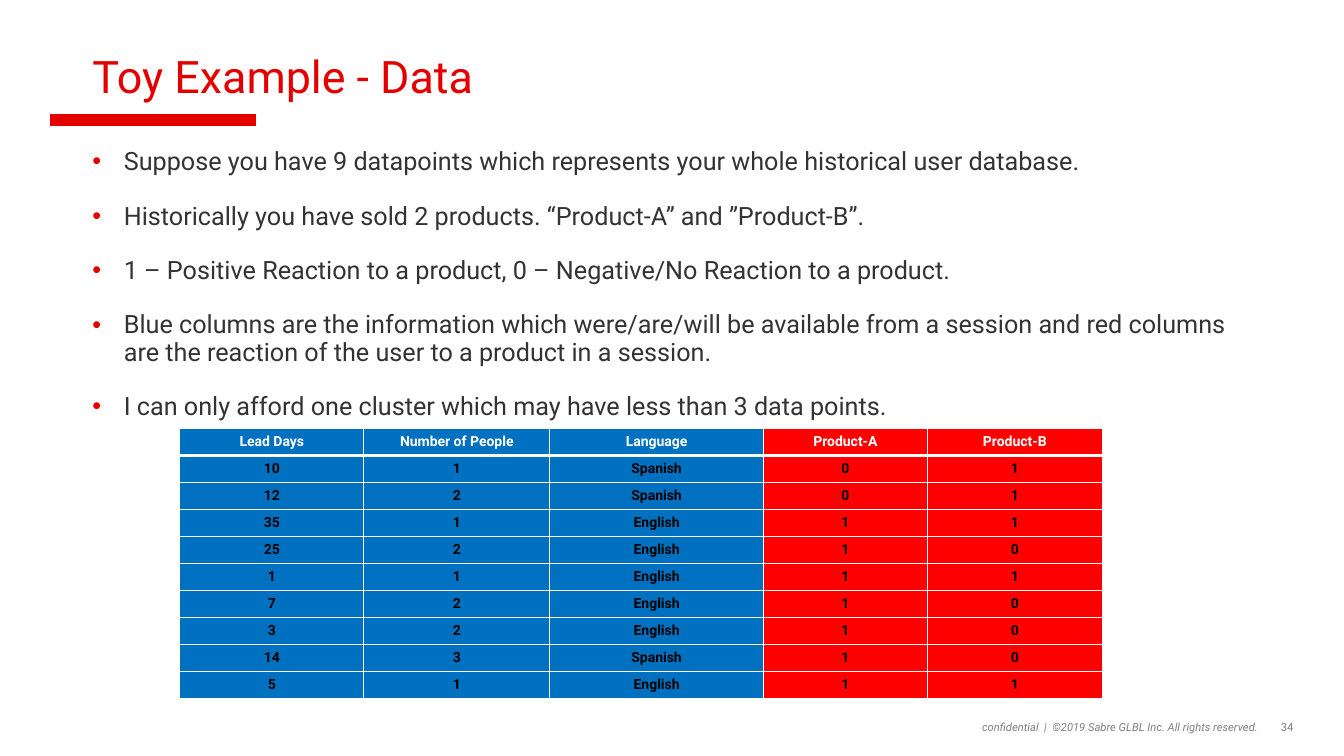
import pptx
import pptx.dml.color
import pptx.enum.shapes
import pptx.enum.text
import pptx.oxml
import pptx.oxml.ns
import pptx.util
from lxml import etree

Pt = pptx.util.Pt
RGBColor = pptx.dml.color.RGBColor
Align = pptx.enum.text.PP_ALIGN
Anchor = pptx.enum.text.MSO_ANCHOR
qn = pptx.oxml.ns.qn

ACCENT_RED = RGBColor(0xE5, 0x00, 0x00)
BODY_GRAY = RGBColor(0x33, 0x33, 0x33)
FOOTER_GRAY = RGBColor(0x80, 0x80, 0x80)
INPUT_BLUE = RGBColor(0x00, 0x70, 0xC0)
REACTION_RED = RGBColor(0xFF, 0x00, 0x00)
WHITE = RGBColor(0xFF, 0xFF, 0xFF)
BLACK = RGBColor(0x00, 0x00, 0x00)

FONT = "Roboto"
BULLETS = [
    "Suppose you have 9 datapoints which represents your whole historical user database.",
    "Historically you have sold 2 products. “Product-A” and ”Product-B”.",
    "1 – Positive Reaction to a product, 0 – Negative/No Reaction to a product.",
    "Blue columns are the information which were/are/will be available from a session "
    "and red columns are the reaction of the user to a product in a session.",
    "I can only afford one cluster which may have less than 3 data points.",
]
SESSIONS = [
    ("Lead Days", "Number of People", "Language", "Product-A", "Product-B"),
    (10, 1, "Spanish", 0, 1),
    (12, 2, "Spanish", 0, 1),
    (35, 1, "English", 1, 1),
    (25, 2, "English", 1, 0),
    (1, 1, "English", 1, 1),
    (7, 2, "English", 1, 0),
    (3, 2, "English", 1, 0),
    (14, 3, "Spanish", 1, 0),
    (5, 1, "English", 1, 1),
]
COLUMN_WIDTHS = [131.5, 132.75, 152.75, 117, 125]
INPUT_COLUMNS = 3
ROW_HEIGHT = 17.28


def format_paragraph(paragraph, size, color, **extra):
    values = {"name": FONT, "size": Pt(size), **extra}
    for name, value in values.items():
        setattr(paragraph.font, name, value)
    paragraph.font.color.rgb = color


def add_text_frame(slide, box, anchor):
    frame = slide.shapes.add_textbox(*map(Pt, box)).text_frame
    values = {"word_wrap": True, "vertical_anchor": anchor, "margin_left": 0,
              "margin_top": 0, "margin_right": 0, "margin_bottom": 0}
    for name, value in values.items():
        setattr(frame, name, value)
    return frame


def add_title(slide, left, top, width, height):
    frame = add_text_frame(slide, (left, top, width, height), Anchor.MIDDLE)
    paragraph = frame.paragraphs[0]
    paragraph.text = "Toy Example - Data"
    paragraph.line_spacing = 0.9
    format_paragraph(paragraph, 32, ACCENT_RED)

    # Accent rule below the title
    rule_left, rule_top = left - 30, top + height + 12.2
    rule = slide.shapes.add_connector(
        pptx.enum.shapes.MSO_CONNECTOR.STRAIGHT,
        Pt(rule_left), Pt(rule_top), Pt(rule_left + 147), Pt(rule_top))
    rule.line.color.rgb = ACCENT_RED
    rule.line.width = Pt(8)
    etree.SubElement(rule._element.spPr, qn("a:effectLst"))


def add_bullets(slide, left, top, width, height):
    frame = add_text_frame(slide, (left, top, width, height), Anchor.TOP)
    for index, text in enumerate(BULLETS):
        paragraph = frame.paragraphs[0] if index == 0 else frame.add_paragraph()
        paragraph.text = text
        paragraph.line_spacing = 0.9
        if index:
            paragraph.space_before = Pt(19.4)
        # Red bullet with a hanging indent
        properties = paragraph._p.get_or_add_pPr()
        properties.set("marL", str(Pt(22.5)))
        properties.set("indent", str(-Pt(22.5)))
        bullet_color = etree.SubElement(properties, qn("a:buClr"))
        etree.SubElement(bullet_color, qn("a:srgbClr"), val=str(ACCENT_RED))
        etree.SubElement(properties, qn("a:buFont"), typeface="Arial")
        etree.SubElement(properties, qn("a:buChar"), char="•")
        format_paragraph(paragraph, 18, BODY_GRAY)


def add_cell_borders(cell, widths):
    properties = cell._tc.get_or_add_tcPr()
    for side, width in widths.items():
        line = etree.SubElement(properties, qn("a:ln" + side), w=str(Pt(width)))
        fill = etree.SubElement(line, qn("a:solidFill"))
        etree.SubElement(fill, qn("a:srgbClr"), val=str(WHITE))


def add_session_table(slide, left, top, width, height):
    table = slide.shapes.add_table(
        len(SESSIONS), len(COLUMN_WIDTHS),
        Pt(left), Pt(top), Pt(width), Pt(height)).table
    table.horz_banding = False
    for column, column_width in zip(table.columns, COLUMN_WIDTHS):
        column.width = Pt(column_width)
    for row_index, values in enumerate(SESSIONS):
        table.rows[row_index].height = Pt(height / len(SESSIONS))
        for column_index, value in enumerate(values):
            cell = table.cell(row_index, column_index)
            # A thick white rule separates the header from the data
            add_cell_borders(cell, {"L": 1, "R": 1,
                                    "T": 3 if row_index == 1 else 1,
                                    "B": 3 if row_index == 0 else 1})
            cell.fill.solid()
            is_input = column_index < INPUT_COLUMNS
            cell.fill.fore_color.rgb = INPUT_BLUE if is_input else REACTION_RED
            paragraph = cell.text_frame.paragraphs[0]
            paragraph.text = str(value)
            paragraph.alignment = Align.CENTER
            format_paragraph(paragraph, 10, BLACK if row_index else WHITE, bold=True)


def add_footer(slide, left, top, width, height):
    number_width = 20
    notice = "confidential  |  ©2019 Sabre GLBL Inc. All rights reserved."
    parts = [
        (notice, (left, top, width - number_width - 5, height), True),
        ("34", (left + width - number_width, top, number_width, height), False),
    ]
    for text, box, italic in parts:
        paragraph = add_text_frame(slide, box, Anchor.BOTTOM).paragraphs[0]
        paragraph.text = text
        paragraph.alignment = Align.RIGHT
        format_paragraph(paragraph, 8, FOOTER_GRAY, italic=italic)


def main():
    presentation = pptx.Presentation()
    presentation.slide_width, presentation.slide_height = Pt(960), Pt(540)
    slide = presentation.slides.add_slide(presentation.slide_layouts[6])
    add_footer(slide, 627.8, 514.4, 296.2, 9.4)
    add_title(slide, 66, 39, 828, 34.5)
    add_bullets(slide, 66, 106.5, 828, 375)
    add_session_table(slide, 128.4, 306.2, sum(COLUMN_WIDTHS),
                      ROW_HEIGHT * len(SESSIONS))
    presentation.save("out.pptx")


if __name__ == "__main__":
    main()
